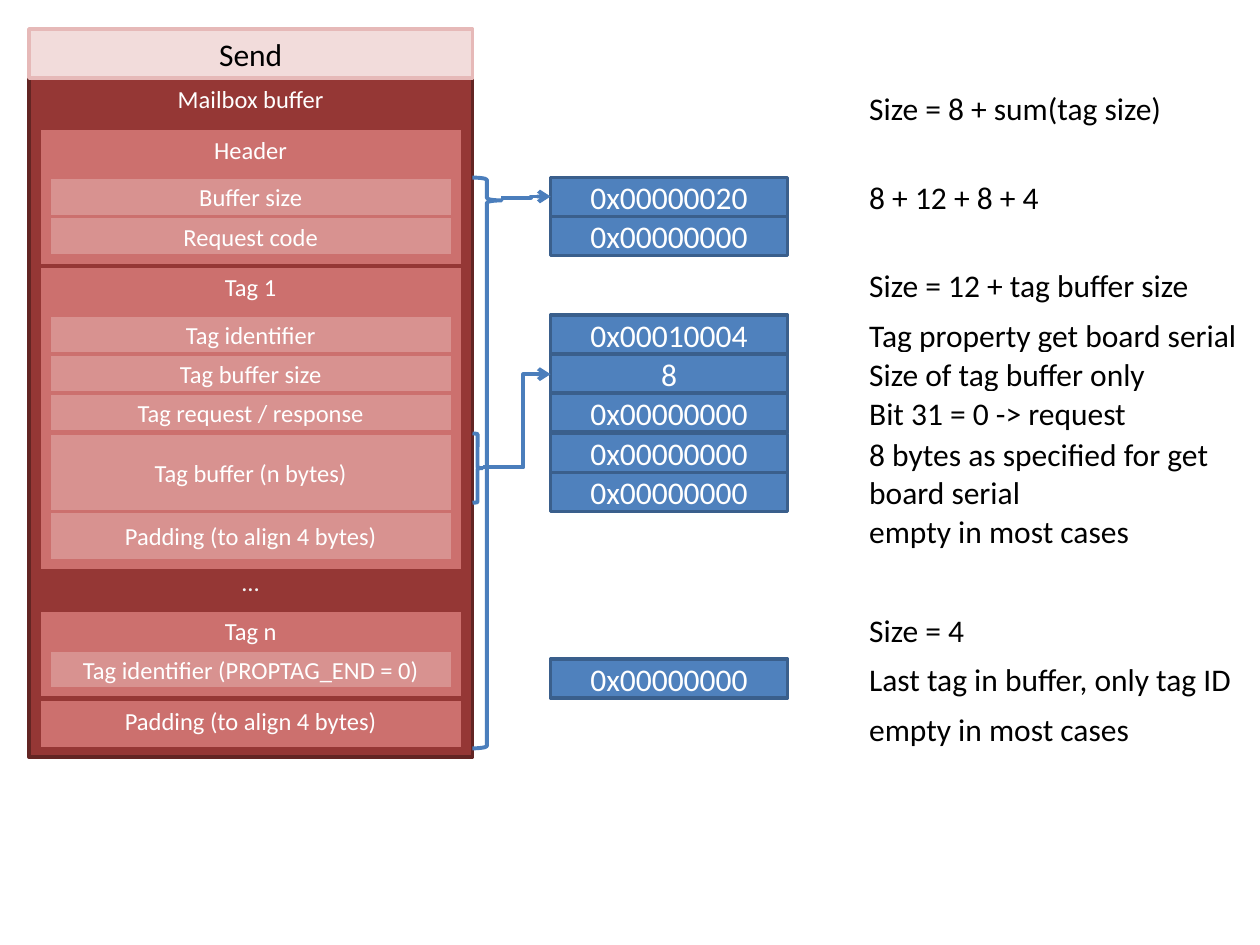
from lxml.etree import SubElement
from pptx import Presentation
from pptx.dml.color import RGBColor
from pptx.enum.shapes import MSO_CONNECTOR, MSO_SHAPE
from pptx.enum.text import MSO_ANCHOR, PP_ALIGN
from pptx.oxml.ns import qn
from pptx.util import Inches, Pt

WHITE = RGBColor(0xFF, 0xFF, 0xFF)
BLACK = RGBColor(0x00, 0x00, 0x00)
OFF_WHITE = RGBColor(0xF2, 0xF2, 0xF2)
DARK_RED = RGBColor(0x95, 0x37, 0x35)
DARKEST_RED = RGBColor(0x63, 0x25, 0x23)
RED = RGBColor(0xCC, 0x70, 0x6E)
LIGHT_RED = RGBColor(0xD8, 0x92, 0x90)
PALE_RED = RGBColor(0xF2, 0xDC, 0xDB)
PINK = RGBColor(0xE6, 0xB9, 0xB8)
BLUE = RGBColor(0x4F, 0x81, 0xBD)
DARK_BLUE = RGBColor(0x3A, 0x5F, 0x8C)
ARROW_BLUE = RGBColor(0x4B, 0x7E, 0xBC)

ROW = 0.31

presentation = Presentation()
presentation.slide_width = Inches(10)
presentation.slide_height = Inches(7.5)
slide = presentation.slides.add_slide(presentation.slide_layouts[6])


def add_box(text, left, top, width, height=ROW, fill=None, line=None, size=18,
            color=WHITE, align=PP_ALIGN.CENTER, anchor=MSO_ANCHOR.MIDDLE):
    """Add a rectangle with text, or a plain text box when fill is None."""
    position = [Inches(value) for value in (left, top, width, height)]
    if fill is None:
        shape = slide.shapes.add_textbox(*position)
    else:
        shape = slide.shapes.add_shape(MSO_SHAPE.RECTANGLE, *position)
        shape.shadow.inherit = False
        shape.fill.solid()
        shape.fill.fore_color.rgb = fill
        shape.line.color.rgb = line
        shape.line.width = Pt(2)
    frame = shape.text_frame
    frame.word_wrap = True
    frame.vertical_anchor = anchor
    paragraph = frame.paragraphs[0]
    paragraph.alignment = align
    run = paragraph.add_run()
    run.text = text
    run.font.name = "Calibri"
    run.font.size = Pt(size)
    run.font.color.rgb = color


# Mailbox buffer with its sections
add_box("Mailbox buffer", 0.23, 0.62, 3.52, 5.39, fill=DARK_RED,
        line=DARKEST_RED, size=14, anchor=MSO_ANCHOR.TOP)
sections = [
    ("Header", 1.02, 1.09),
    ("Tag 1", 2.11, 2.42),
    ("Tag n", 4.84, 0.7),
    ("Padding (to align 4 bytes)", 5.55, 0.39),
]
for text, top, height in sections:
    add_box(text, 0.31, top, 3.36, height, fill=RED, line=DARK_RED, size=14,
            anchor=MSO_ANCHOR.TOP)
add_box("…", 0.31, 4.45, 3.36, 0.34, size=14, color=OFF_WHITE,
        anchor=MSO_ANCHOR.TOP)
add_box("Send", 0.23, 0.23, 3.52, 0.39, fill=PALE_RED, line=PINK, color=BLACK)

# Fields inside the sections
fields = [
    ("Buffer size", 1.41, ROW),
    ("Request code", 1.72, ROW),
    ("Tag identifier", 2.5, ROW),
    ("Tag buffer size", 2.81, ROW),
    ("Tag request / response", 3.12, ROW),
    ("Tag buffer (n bytes)", 3.44, 0.63),
    ("Padding (to align 4 bytes)", 4.06, 0.39),
    ("Tag identifier (PROPTAG_END = 0)", 5.16, ROW),
]
for text, top, height in fields:
    add_box(text, 0.39, top, 3.2, height, fill=LIGHT_RED, line=RED, size=14)

# Example values
values = [
    ("0x00000020", 1.41),
    ("0x00000000", 1.72),
    ("0x00010004", 2.5),
    ("8", 2.81),
    ("0x00000000", 3.12),
    ("0x00000000", 3.44),
    ("0x00000000", 3.75),
    ("0x00000000", 5.23),
]
for text, top in values:
    add_box(text, 4.37, top, 1.88, fill=BLUE, line=DARK_BLUE)

# Remarks on the values
remarks = [
    ("Size = 8 + sum(tag size)", 0.7, ROW),
    ("8 + 12 + 8 + 4", 1.41, ROW),
    ("Size = 12 + tag buffer size", 2.11, ROW),
    ("Tag property get board serial", 2.5, ROW),
    ("Size of tag buffer only", 2.81, ROW),
    ("Bit 31 = 0 -> request", 3.12, ROW),
    ("8 bytes as specified for get board serial", 3.44, 0.63),
    ("empty in most cases", 4.06, ROW),
    ("Size = 4", 4.84, ROW),
    ("Last tag in buffer, only tag ID", 5.23, ROW),
    ("empty in most cases", 5.63, ROW),
]
for text, top, height in remarks:
    add_box(text, 6.8, top, 3.13, height, fill=WHITE, line=WHITE, color=BLACK,
            align=PP_ALIGN.LEFT)

# Braces, each with an arrow from its tip to the size value
braces = [
    # top, width, height, tip position, arrow start, arrow end
    (3.44, 0.08, 0.55, 0.5, 3.71, 2.97),
    (1.41, 0.23, 4.53, 0.04, 1.57, 1.56),
]
for top, width, height, tip, start, end in braces:
    brace = slide.shapes.add_shape(MSO_SHAPE.RIGHT_BRACE, Inches(3.75),
                                   Inches(top), Inches(width), Inches(height))
    brace.shadow.inherit = False
    brace.fill.background()
    brace.adjustments[0] = 0.08
    brace.adjustments[1] = tip

    arrow = slide.shapes.add_connector(
        MSO_CONNECTOR.ELBOW, Inches(3.75 + width), Inches(start),
        Inches(4.37), Inches(end))
    for outlined in (brace, arrow):
        outlined.line.color.rgb = ARROW_BLUE
        outlined.line.width = Pt(2.25)
    properties = arrow._element.spPr
    bend = properties.find(qn("a:prstGeom")).find(qn("a:avLst"))
    SubElement(bend, qn("a:gd"), name="adj1", fmla="val 60000")
    SubElement(properties.find(qn("a:ln")), qn("a:tailEnd"), type="arrow")
    SubElement(properties, qn("a:effectLst"))

presentation.save("out.pptx")
